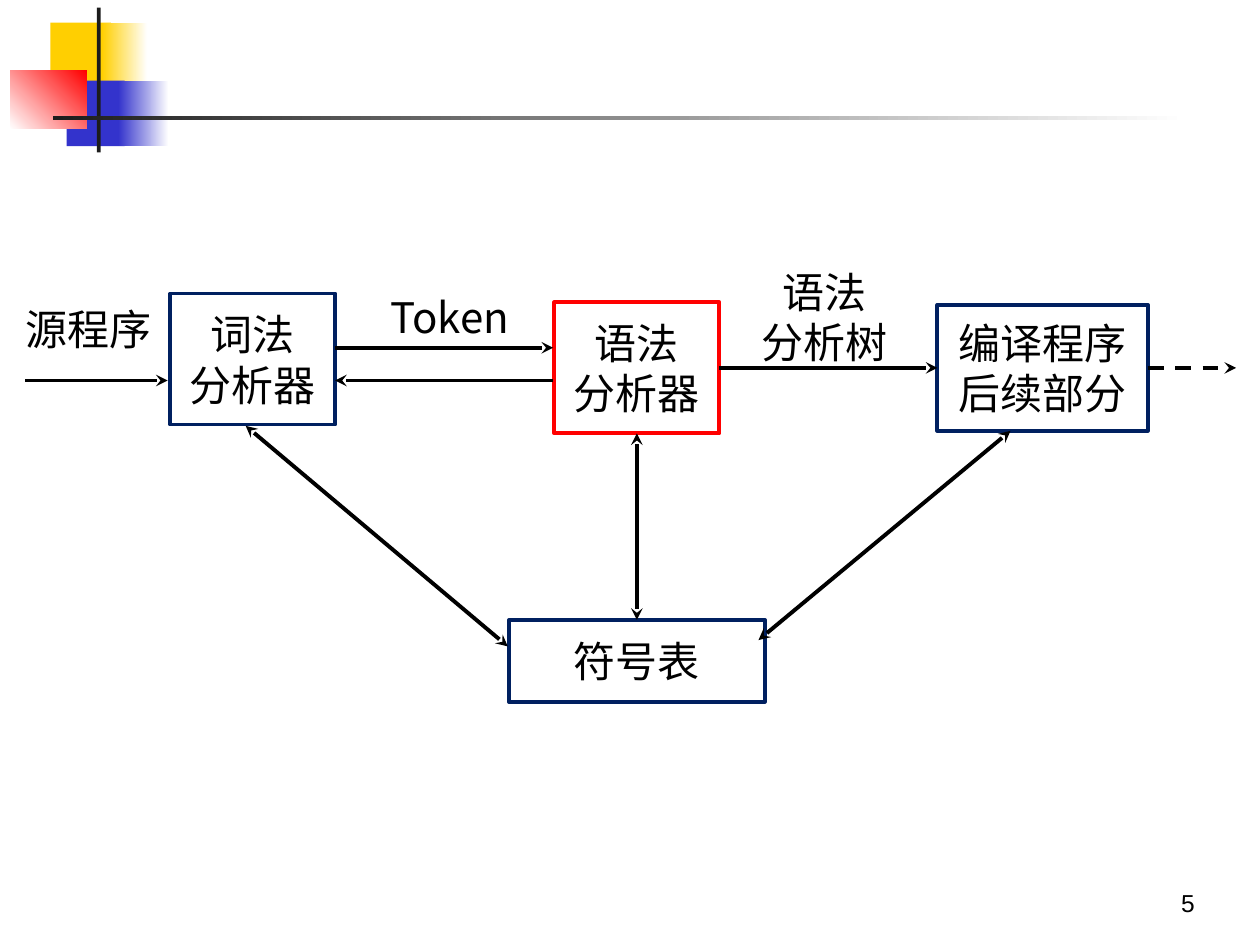
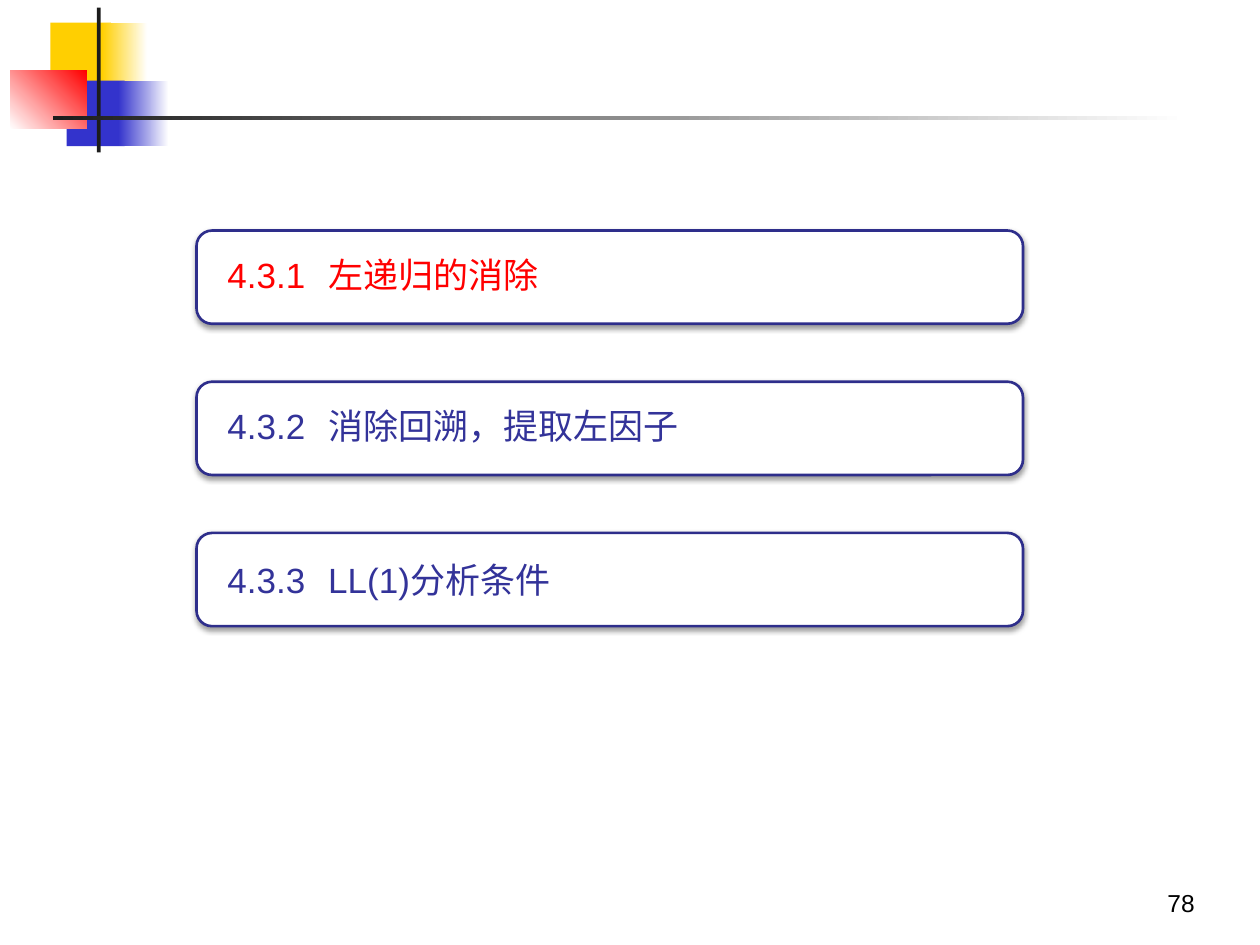
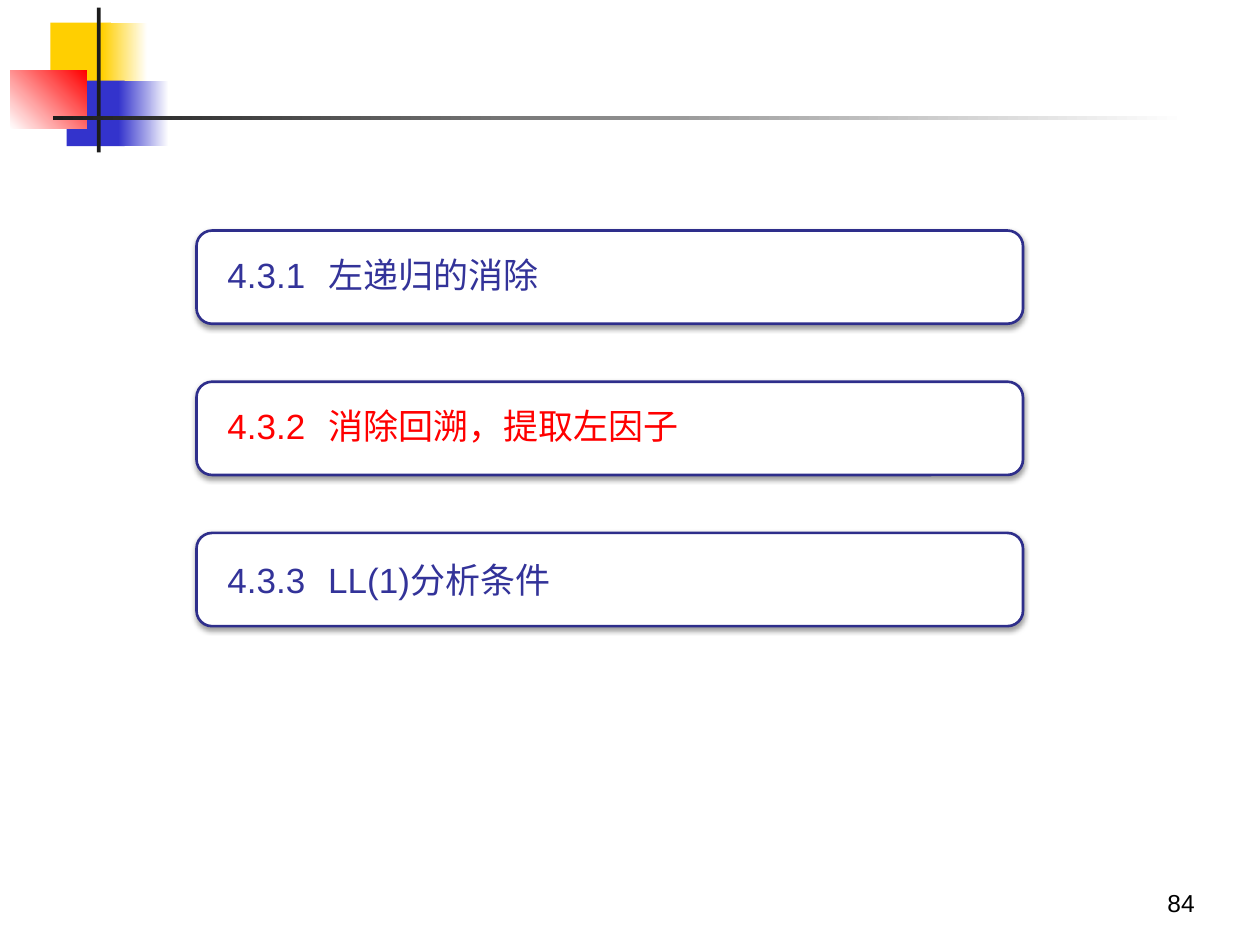
from lxml.etree import SubElement
from pptx import Presentation
from pptx.dml.color import RGBColor
from pptx.enum.dml import MSO_LINE
from pptx.enum.shapes import MSO_CONNECTOR, MSO_SHAPE
from pptx.enum.text import MSO_ANCHOR, PP_ALIGN
from pptx.oxml.ns import qn
from pptx.util import Inches, Pt

BLACK = RGBColor(0x00, 0x00, 0x00)
WHITE = RGBColor(0xFF, 0xFF, 0xFF)
INK = RGBColor(0x1C, 0x1C, 0x1C)
RED = RGBColor(0xFF, 0x00, 0x00)
GOLD = RGBColor(0xFF, 0xCF, 0x01)
BLUE = RGBColor(0x33, 0x33, 0xCC)
NAVY = RGBColor(0x00, 0x20, 0x60)
INDIGO = RGBColor(0x33, 0x33, 0x99)
EDGE = RGBColor(0x2E, 0x2E, 0x8B)
LATIN, HAN = "Arial", "Noto Sans CJK SC"

# Header ornament: place, fill colours (two make a gradient), angle
BAND = [
    ((0.4, 0.18, 0.48, 0.52), (GOLD,), 0),
    ((0.81, 0.18, 0.36, 0.52), (GOLD, WHITE), 0),
    ((0.53, 0.64, 0.46, 0.52), (BLUE,), 0),
    ((0.94, 0.64, 0.4, 0.52), (BLUE, WHITE), 0),
    ((0.08, 0.56, 0.61, 0.46), (WHITE, RED), 45),
    ((0.77, 0.06, 0.03, 1.15), (INK,), 0),
    ((0.42, 0.92, 9, 0.03), (INK, WHITE), 0),
]

# Compiler diagram
LABELS = [
    ("源程序", (0.08, 2.27, 1.25, 0.68)),
    ("Token", (2.9, 2.14, 1.34, 0.75)),
    ("语法\n分析树", (5.94, 2.06, 1.21, 0.91)),
]
BOXES = {
    "lexer": ("词法\n分析器", (1.35, 2.33, 1.31, 1.04), NAVY),
    "parser": ("语法\n分析器", (4.4, 2.4, 1.31, 1.04), RED),
    "symbols": ("符号表", (4.04, 4.92, 2.03, 0.65), NAVY),
    "rest": ("编译程序\n后续部分", (7.44, 2.42, 1.67, 1), NAVY),
}
BOTTOM, LEFT, RIGHT, TOP = 2, 1, 3, 0
# Each end is a point or a (box name, side); then arrowheads and dash
ARROWS = [
    ((0.2, 3.02), (1.33, 3.02), "tail", None),
    ((2.66, 2.76), (4.39, 2.76), "tail", None),
    ((4.39, 3.02), (2.66, 3.02), "tail", None),
    (("parser", RIGHT), ("rest", LEFT), "tail", None),
    ((1.95, 3.38), (4.03, 5.13), "head tail", None),
    (("parser", BOTTOM), ("symbols", TOP), "head tail", None),
    ((8.02, 3.42), (6.02, 5.08), "head tail", None),
    (("rest", RIGHT), (9.81, 2.92), "tail", MSO_LINE.DASH),
]

# Section list: text, line spacing
TOPICS = [
    ("4.3.1\t左递归的消除", 0.9),
    ("4.3.2\t消除回溯，提取左因子", 0.9),
    ("4.3.3\tLL(1)分析条件", 1.0),
]
FIRST, PITCH = 1.83, 1.2
AGENDAS = [(78, 0), (84, 1)]  # page number, topic in red


def write(shape, text, size, face, color=BLACK, tab=None, anchor=MSO_ANCHOR.MIDDLE,
          wrap=False, **form):
    frame = shape.text_frame
    frame.word_wrap, frame.vertical_anchor = wrap, anchor
    for i, line in enumerate(text.split("\n")):
        para = frame.paragraphs[0] if i == 0 else frame.add_paragraph()
        for key, value in form.items():
            setattr(para, key, value)
        if tab:
            stops = SubElement(para._p.get_or_add_pPr(), qn("a:tabLst"))
            SubElement(stops, qn("a:tab"), pos=str(Inches(tab)), algn="l")
        run = para.add_run()
        run.text = line
        for key, value in {"name": face, "size": Pt(size)}.items():
            setattr(run.font, key, value)
        run.font.color.rgb = color
        SubElement(run._r.get_or_add_rPr(), qn("a:ea"), typeface=HAN)


def block(slide, place, fills=(), angle=0, line=None, width=0, kind=MSO_SHAPE.RECTANGLE):
    shape = slide.shapes.add_shape(kind, *map(Inches, place))
    shape.shadow.inherit = False
    if len(fills) == 2:
        shape.fill.gradient()
        shape.fill.gradient_angle = angle
        for stop, color in zip(shape.fill.gradient_stops, fills):
            stop.color.rgb = color
    elif fills:
        shape.fill.solid()
        shape.fill.fore_color.rgb = fills[0]
    else:
        shape.fill.background()
    if line is None:
        shape.line.fill.background()
    else:
        shape.line.color.rgb = line
        shape.line.width = Pt(width)
    return shape


def label(slide, place, *text, **form):
    write(slide.shapes.add_textbox(*map(Inches, place)), *text, **form)


def start(deck, page):
    """Add a slide with the header ornament and its page number."""
    slide = deck.slides.add_slide(deck.slide_layouts[6])
    for place, fills, angle in BAND:
        block(slide, place, fills, angle)
    label(slide, (7.5, 6.83, 2.08, 0.5), str(page), 14, LATIN, wrap=True,
          anchor=MSO_ANCHOR.BOTTOM, alignment=PP_ALIGN.RIGHT)
    return slide


def arrow(slide, boxes, begin, end, heads, dash):
    ends = [(0, 0) if a[0] in boxes else a for a in (begin, end)]
    link = slide.shapes.add_connector(
        MSO_CONNECTOR.STRAIGHT, *(Inches(v) for point in ends for v in point))
    for join, (name, side) in ((link.begin_connect, begin), (link.end_connect, end)):
        if name in boxes:
            join(boxes[name], side)
    link.line.color.rgb = BLACK
    link.line.width = Pt(2.25)
    if dash:
        link.line.dash_style = dash
    for head in heads.split():
        SubElement(link.line._get_or_add_ln(), qn(f"a:{head}End"), type="stealth")
    SubElement(link._element.spPr, qn("a:effectLst"))


def shade(shape):
    """Give the shape a soft shadow below."""
    effects = shape._element.spPr.find(qn("a:effectLst"))
    outer = SubElement(effects, qn("a:outerShdw"), blurRad=str(Pt(3.1)),
                       dist=str(Pt(1.6)), dir="5400000", rotWithShape="0")
    color = SubElement(outer, qn("a:srgbClr"), val=str(BLACK))
    SubElement(color, qn("a:alpha"), val="38000")


def diagram(deck):
    slide = start(deck, 5)
    for text, place in LABELS:
        label(slide, place, text, 24, HAN, alignment=PP_ALIGN.CENTER)
    boxes = {}
    for name, (text, place, line) in BOXES.items():
        boxes[name] = block(slide, place, line=line, width=2.25)
        write(boxes[name], text, 24, HAN, alignment=PP_ALIGN.CENTER)
    for item in ARROWS:
        arrow(slide, boxes, *item)


def agenda(deck, page, current):
    slide = start(deck, page)
    for i, (text, spacing) in enumerate(TOPICS):
        panel = block(slide, (1.56, FIRST + i * PITCH, 6.56, 0.74), (WHITE,),
                      line=EDGE, width=1.5, kind=MSO_SHAPE.ROUNDED_RECTANGLE)
        shade(panel)
        frame = panel.text_frame
        frame.margin_left = frame.margin_right = Inches(0.21)
        frame.margin_top = frame.margin_bottom = 0
        write(panel, text, 20, LATIN, RED if i == current else INDIGO, tab=0.8,
              wrap=True, alignment=PP_ALIGN.LEFT, line_spacing=spacing)


def main():
    deck = Presentation()
    deck.slide_width, deck.slide_height = Inches(10), Inches(7.5)
    diagram(deck)
    for page, current in AGENDAS:
        agenda(deck, page, current)
    deck.save("out.pptx")


if __name__ == "__main__":
    main()
